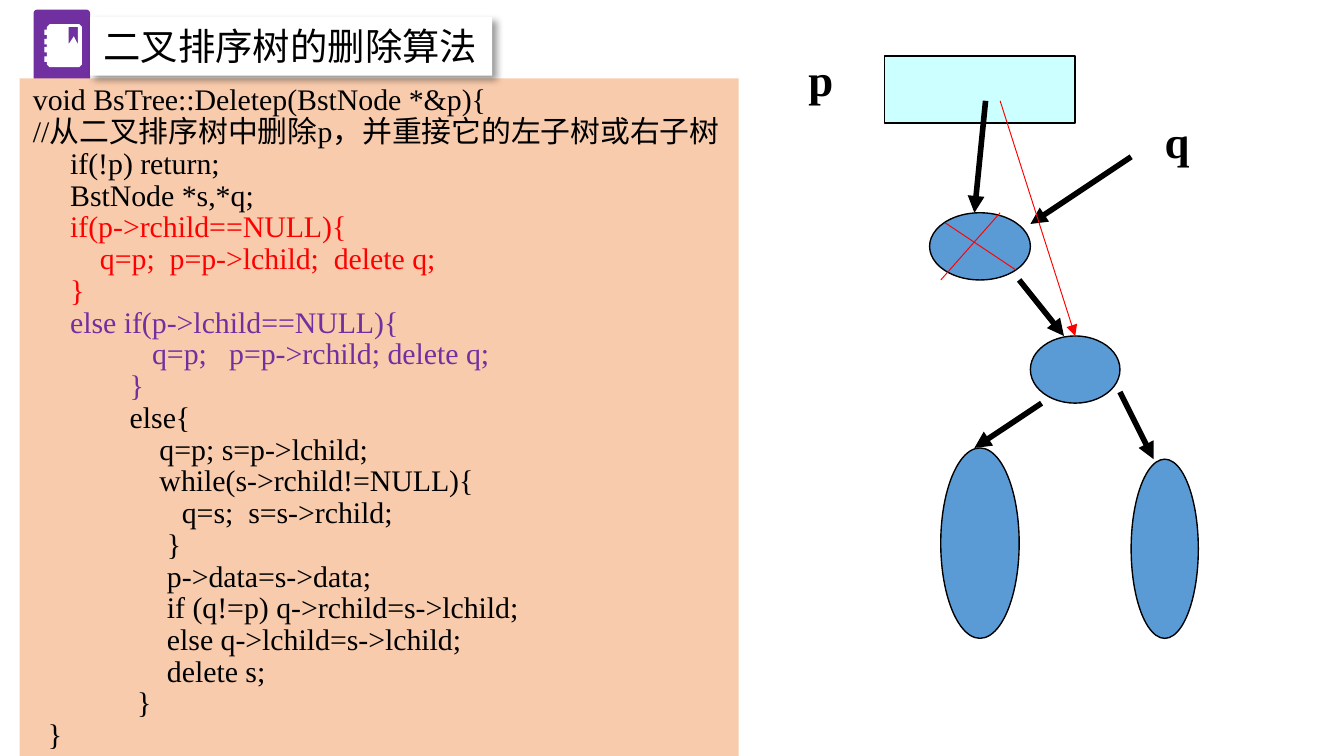
import lxml.etree
import pptx
import pptx.dml.color
import pptx.enum.shapes
import pptx.enum.text
import pptx.oxml.ns
import pptx.util

SHAPE = pptx.enum.shapes.MSO_SHAPE
GRID = 12  # grid cells per inch
COLORS = {
    "black": "000000", "white": "FFFFFF", "red": "FF0000", "purple": "7030A0",
    "peach": "F8CBAD", "node": "5B9BD5", "pointer": "CCFFFF",
}
CODE = [
    ("black", """void BsTree::Deletep(BstNode *&p){
//从二叉排序树中删除p，并重接它的左子树或右子树
     if(!p) return;
     BstNode *s,*q;"""),
    ("red", """     if(p->rchild==NULL){
         q=p;  p=p->lchild;  delete q;
     }"""),
    ("purple", """     else if(p->lchild==NULL){
                q=p;   p=p->rchild; delete q;
             }"""),
    ("black", """             else{
                 q=p; s=p->lchild;
                 while(s->rchild!=NULL){
                    q=s;  s=s->rchild;
                  }
                  p->data=s->data;
                  if (q!=p) q->rchild=s->lchild;
                  else q->lchild=s->lchild;
                  delete s;
              }
  }"""),
]


def rgb(name):
    return pptx.dml.color.RGBColor.from_string(COLORS[name])


def cells(*values):
    return [pptx.util.Inches(value / GRID) for value in values]


def add_effects(shape):
    properties = shape._element.spPr
    return lxml.etree.SubElement(properties, pptx.oxml.ns.qn("a:effectLst"))


def cast_shadow(shape):
    qn = pptx.oxml.ns.qn
    effects = shape._element.spPr.find(qn("a:effectLst"))
    shadow = lxml.etree.SubElement(
        effects, qn("a:outerShdw"), blurRad=str(pptx.util.Pt(4)),
        dist=str(pptx.util.Pt(3)), dir=str(45 * 60000), algn="tl", rotWithShape="0")
    color = lxml.etree.SubElement(shadow, qn("a:srgbClr"), val=COLORS["black"])
    lxml.etree.SubElement(color, qn("a:alpha"), val="40000")


def paint(shape, fill, outline=None):
    shape.shadow.inherit = False
    shape.fill.solid()
    shape.fill.fore_color.rgb = rgb(fill)
    if outline:
        shape.line.color.rgb = rgb(outline)
        shape.line.width = pptx.util.Pt(0.75)
    else:
        shape.line.fill.background()
    return shape


def add_block(slide, box, left, top, width, height, fill, kind=SHAPE.RECTANGLE, outline=None):
    place = cells(box[0] + left, box[1] + top, width, height)
    return paint(slide.shapes.add_shape(kind, *place), fill, outline)


def write(shape, text, size, font="Times New Roman", color="black", bold=False,
          leading=None, wrap=True, more=False):
    """Fill the frame, or continue it when more is set, one paragraph per line."""
    frame = shape.text_frame
    frame.word_wrap = wrap
    frame.auto_size = pptx.enum.text.MSO_AUTO_SIZE.SHAPE_TO_FIT_TEXT
    frame.vertical_anchor = pptx.enum.text.MSO_ANCHOR.TOP
    for index, line in enumerate(text.split("\n")):
        paragraph = frame.add_paragraph() if more or index else frame.paragraphs[0]
        paragraph.alignment = pptx.enum.text.PP_ALIGN.LEFT
        if leading:
            paragraph.line_spacing = pptx.util.Pt(leading)
        run = paragraph.add_run()
        run.text = line
        run.font.name = font
        run.font.size = pptx.util.Pt(size)
        run.font.bold = bold
        run.font.color.rgb = rgb(color)


def add_line(slide, box, start, end, color="black", weight=3, arrow=True):
    ends = cells(box[0] + start[0], box[1] + start[1], box[0] + end[0], box[1] + end[1])
    line = slide.shapes.add_connector(pptx.enum.shapes.MSO_CONNECTOR.STRAIGHT, *ends)
    line.line.color.rgb = rgb(color)
    line.line.width = pptx.util.Pt(weight)
    if arrow:
        lxml.etree.SubElement(line.line._get_or_add_ln(),
                              pptx.oxml.ns.qn("a:tailEnd"), type="triangle")
    add_effects(line)


def add_notebook(slide, box):
    """White notebook with four binder tabs and a bookmark, in hundredths of an inch."""
    tabs = [point for top in (4, 11, 17, 24)
            for point in ((2, top), (0, top), (0, top + 4), (2, top + 4))]
    cover = [(4, 0), (2, 2), *tabs, (2, 30), (4, 32), (26, 32), (28, 30), (28, 2)]
    bookmark = [(22, 9), (18, 15), (18, 2), (25, 2)]
    builder = slide.shapes.build_freeform(26, 0, scale=pptx.util.Inches(0.01))
    builder.add_line_segments(cover, close=True)
    builder.move_to(25, 15)
    builder.add_line_segments(bookmark, close=True)
    paint(builder.convert_to_shape(*cells(box[0] + 0.96, box[1] + 1.3)), "white")


def add_icon(slide, box):
    badge = add_block(slide, box, 0, 0, 5.04, 6.4, "purple", SHAPE.ROUNDED_RECTANGLE)
    badge.adjustments[0] = 0.06
    add_notebook(slide, box)


def add_title(slide, box):
    title = add_block(slide, box, 0, 0, 35.9, 5.25, "white")
    cast_shadow(title)
    write(title, "二叉排序树的删除算法", size=20, font="Calibri")


def add_code(slide, box):
    panel = add_block(slide, box, 0, 0, 64.2, 61.3, "peach")
    for index, (color, text) in enumerate(CODE):
        write(panel, text, size=16, color=color, leading=17, more=index > 0)


def add_tree(slide, box):
    add_block(slide, box, 8, 1, 17, 6, "pointer", outline="black")
    deleted, child = (12, 15, 9, 6), (21, 26, 8, 6)
    left_subtree, right_subtree = (13, 36, 7, 17), (30, 37, 6, 16)
    for node in (deleted, child, left_subtree, right_subtree):
        add_block(slide, box, *node, "node", SHAPE.OVAL, outline="black")

    for start, end in (((17, 5), (16, 15)), ((20, 21), (24, 26)), ((22, 32), (16, 36)),
                       ((29, 31), (32, 37)), ((30, 10), (21, 16))):
        add_line(slide, box, start, end)
    add_line(slide, box, (18.3, 5), (25, 26), color="red", weight=0.5)
    for start, end in (((18.3, 15), (13, 21)), ((13.4, 15.9), (19.7, 20.1))):
        add_line(slide, box, start, end, color="red", weight=0.5, arrow=False)

    for name, left, top in (("p", 0, 0), ("q", 31.8, 5.6)):
        label = slide.shapes.add_textbox(*cells(box[0] + left, box[1] + top, 4.7, 6))
        write(label, name, size=24, bold=True, wrap=False)


def main():
    deck = pptx.Presentation()
    deck.slide_width = pptx.util.Inches(10)
    deck.slide_height = deck.slide_width * 9 // 16
    slide = deck.slides.add_slide(deck.slide_layouts[6])
    add_icon(slide, (3, 0.86))
    add_code(slide, (1.76, 7))
    add_tree(slide, (71, 4))
    add_title(slide, (8.05, 1.5))
    deck.save("out.pptx")


if __name__ == "__main__":
    main()
